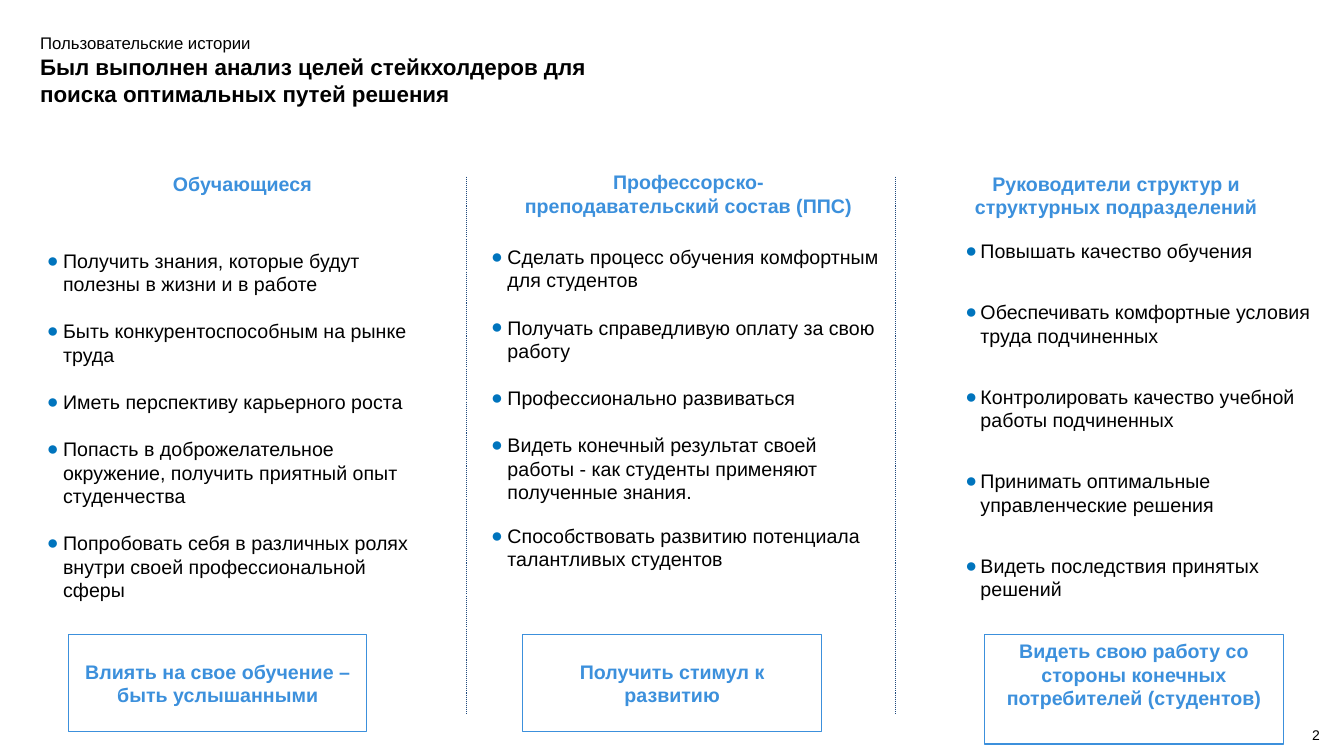
import pptx
import pptx.util
import pptx.dml.color
import pptx.enum.dml
import pptx.enum.shapes
import pptx.enum.text
import pptx.oxml
import pptx.oxml.ns
from lxml import etree

Cm, Pt = pptx.util.Cm, pptx.util.Pt
ALIGN = pptx.enum.text.PP_ALIGN
ANCHOR = pptx.enum.text.MSO_ANCHOR

COLORS = {"text": "000000", "accent": "3C90DC", "bullet": "0074BD", "divider": "1F497D"}
TOPIC = "Пользовательские истории"
TITLE = "Был выполнен анализ целей стейкхолдеров для поиска оптимальных путей решения"
PAGE = "2"
COLUMNS = [
    {
        "head": "Обучающиеся", "head_at": (1.4, 4.22, 9.42, 0.74),
        "goals": [
            "Получить знания, которые будут полезны в жизни и в работе",
            "Быть конкурентоспособным на рынке труда",
            "Иметь перспективу карьерного роста",
            "Попасть в доброжелательное окружение, получить приятный опыт студенчества",
            "Попробовать себя в различных ролях внутри своей профессиональной сферы",
        ],
        "goals_at": (0.1, 6.02, 10.82, 9.53), "indent": 1.24, "gaps": [0] + [16.8] * 4,
        "result": "Влиять на свое обучение – быть услышанными",
        "result_at": (1.73, 15.98, 7.52, 2.46), "anchor": ANCHOR.MIDDLE,
    },
    {
        "head": "Профессорско-преподавательский состав (ППС)", "head_at": (13.03, 4.19, 8.64, 1.3),
        "goals": [
            "Сделать процесс обучения комфортным для студентов",
            "Получать справедливую оплату за свою работу",
            "Профессионально развиваться",
            "Видеть конечный результат своей работы - как студенты применяют полученные знания.",
            "Способствовать развитию потенциала талантливых студентов",
        ],
        "goals_at": (11.3, 5.92, 11.28, 8.89), "indent": 1.24, "gaps": [0] + [16.8] * 3 + [14.2],
        "result": "Получить стимул к развитию",
        "result_at": (13.18, 15.98, 7.52, 2.46), "anchor": ANCHOR.MIDDLE,
    },
    {
        "head": "Руководители структур и структурных подразделений", "head_at": (24.18, 4.22, 7.9, 1.3),
        "goals": [
            "Повышать качество обучения",
            "Обеспечивать комфортные условия труда подчиненных",
            "Контролировать качество учебной работы подчиненных",
            "Принимать оптимальные управленческие решения",
            "Видеть последствия принятых решений",
        ],
        "goals_at": (24.08, 5.77, 9.58, 9.25), "indent": 0.38, "gaps": [0] + [26.8] * 4,
        "result": "Видеть свою работу со стороны конечных потребителей (студентов)",
        "result_at": (24.82, 15.98, 7.52, 2.77), "anchor": ANCHOR.TOP,
    },
]
DIVIDERS_X = (11.76, 22.58)
DIVIDER_Y = (4.45, 18.01)
HANGING = 0.41


def rgb(name):
    return pptx.dml.color.RGBColor.from_string(COLORS[name])


def set_frame(sp, margin, anchor=ANCHOR.TOP, wrap=True):
    tf = sp.text_frame
    sides = ("margin_left", "margin_top", "margin_right", "margin_bottom")
    formats = {**dict.fromkeys(sides, Cm(margin)), "vertical_anchor": anchor, "word_wrap": wrap}
    for name, value in formats.items():
        setattr(tf, name, value)
    return tf


def add_box(s, at, margin, anchor=ANCHOR.TOP, wrap=True):
    return set_frame(s.shapes.add_textbox(*map(Cm, at)), margin, anchor, wrap)


def write(tf, i, text, size=14, color="text", bold=False, align=ALIGN.LEFT):
    p = tf.add_paragraph() if i else tf.paragraphs[0]
    p.alignment = align
    r = p.add_run()
    r.text = text
    for name, value in {"name": "Arial", "size": Pt(size), "bold": bold}.items():
        setattr(r.font, name, value)
    r.font.color.rgb = rgb(color)
    return p


def set_bullet(p, indent):
    ppr = p._p.get_or_add_pPr()
    ppr.set("marL", str(Cm(indent)))
    ppr.set("indent", str(Cm(-HANGING)))
    qn = pptx.oxml.ns.qn
    color = etree.SubElement(ppr, qn("a:buClr"))
    etree.SubElement(color, qn("a:srgbClr")).set("val", COLORS["bullet"])
    etree.SubElement(ppr, qn("a:buFont")).set("typeface", "Arial")
    etree.SubElement(ppr, qn("a:buChar")).set("char", "●")


def add_column(s, col):
    accent = {"color": "accent", "bold": True, "align": ALIGN.CENTER}
    write(add_box(s, col["head_at"], 0.1), 0, col["head"], **accent)
    tf = add_box(s, col["goals_at"], 0.25)
    for i, (goal, gap) in enumerate(zip(col["goals"], col["gaps"])):
        p = write(tf, i, goal)
        p.space_before = Pt(gap)
        set_bullet(p, col["indent"])
    sp = s.shapes.add_shape(pptx.enum.shapes.MSO_SHAPE.RECTANGLE, *map(Cm, col["result_at"]))
    sp.shadow.inherit = False
    sp.fill.background()
    sp.line.color.rgb = rgb("accent")
    sp.line.width = Pt(0.75)
    write(set_frame(sp, 0.2 if col["anchor"] == ANCHOR.MIDDLE else 0.13, col["anchor"]),
          0, col["result"], **accent)


def add_divider(s, x):
    top, bottom = DIVIDER_Y
    line = s.shapes.add_connector(pptx.enum.shapes.MSO_CONNECTOR.STRAIGHT,
                                  Cm(x), Cm(top), Cm(x), Cm(bottom))
    line.line.color.rgb = rgb("divider")
    line.line.width = Pt(0.75)
    line.line.dash_style = pptx.enum.dml.MSO_LINE.ROUND_DOT
    etree.SubElement(line._element.spPr, pptx.oxml.ns.qn("a:effectLst"))


def main():
    """Build the slide of stakeholder goals."""
    prs = pptx.Presentation()
    prs.slide_width, prs.slide_height = Cm(33.87), Cm(19.05)
    s = prs.slides.add_slide(prs.slide_layouts[6])
    tf = add_box(s, (0.76, 0.58, 15.95, 2.26), 0.25)
    write(tf, 0, TOPIC, size=12)
    write(tf, 1, TITLE, size=16, bold=True)
    write(add_box(s, (32.97, 18.24, 0.43, 0.58), 0.1, ANCHOR.MIDDLE, False), 0, PAGE, size=10)
    for col in COLUMNS:
        add_column(s, col)
    for x in DIVIDERS_X:
        add_divider(s, x)
    prs.save("out.pptx")


if __name__ == "__main__":
    main()
